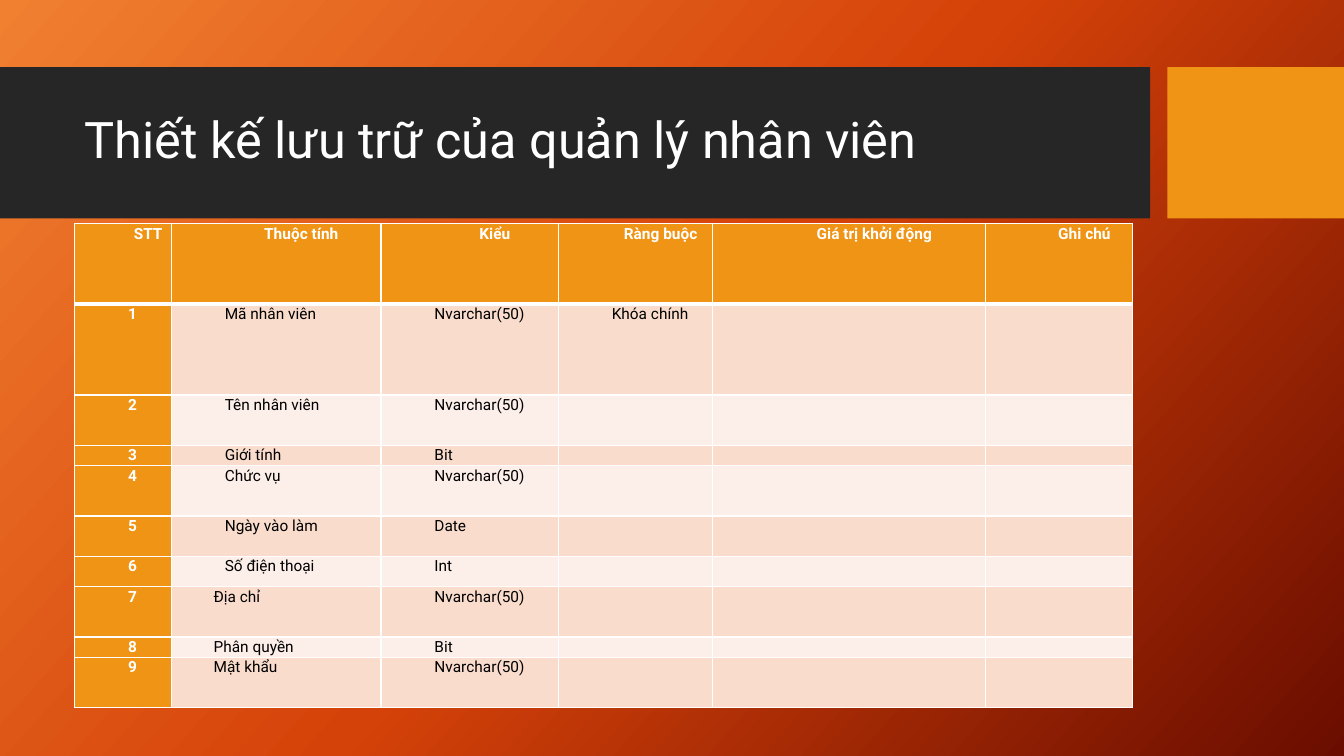
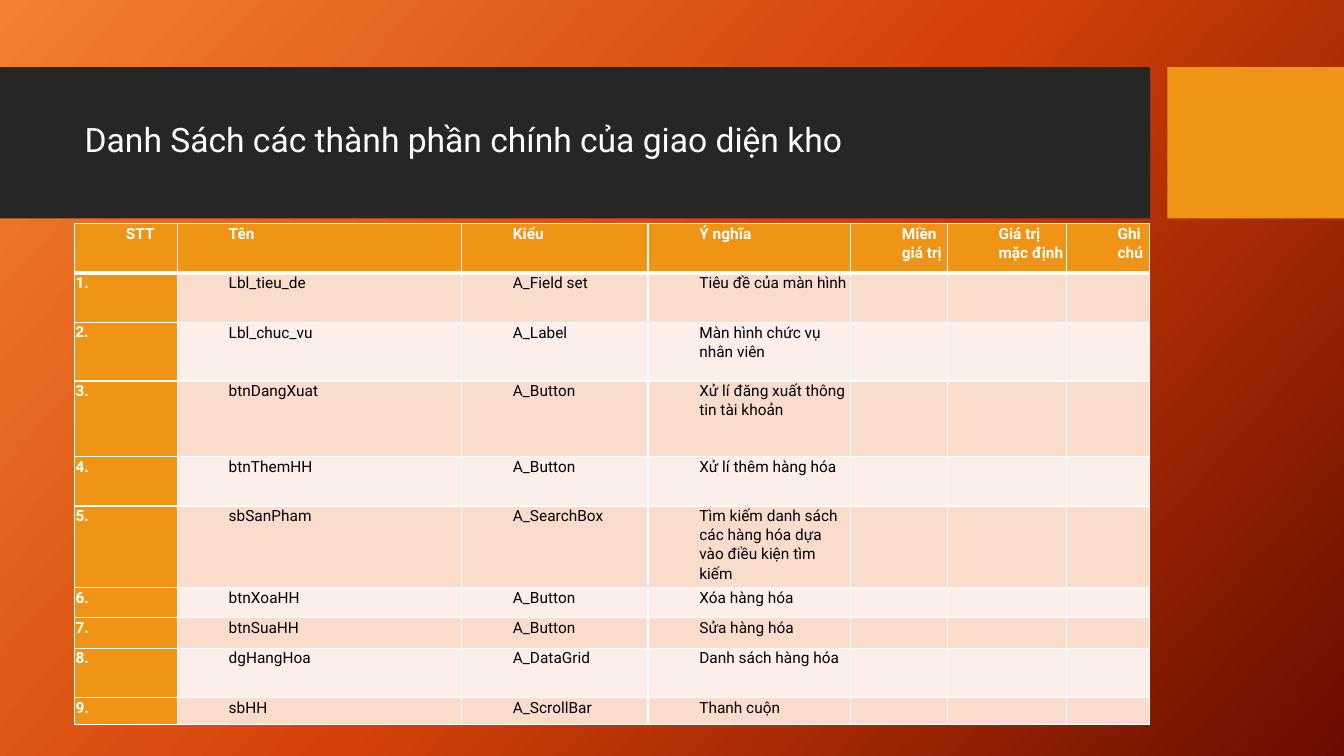
from dataclasses import dataclass, field

from pptx import Presentation
from pptx.dml.color import RGBColor
from pptx.enum.shapes import MSO_SHAPE
from pptx.enum.text import MSO_ANCHOR, MSO_AUTO_SIZE, PP_ALIGN
from pptx.oxml import parse_xml
from pptx.oxml.ns import nsdecls
from pptx.util import Pt

FONT = "Roboto"
WHITE, BLACK, DARK, ORANGE = "FFFFFF", "000000", "262626", "F09415"
STRIPES = ("FCEEE8", "F9DCCC")
GRADIENT = ((0, "F18031"), (50, "D54209"), (100, "6A0D00"))
LEFT, TABLE_TOP = 53.3, 159.8


@dataclass
class Band:
    left: float
    width: float
    color: str


@dataclass
class Grid:
    title: str
    title_size: float
    cols: list[float]
    rows: list[float]
    cells: list[list[str]]
    inset: float
    header_align: PP_ALIGN = PP_ALIGN.LEFT
    number_indent: float = 36
    overrides: dict[tuple[int, int], dict] = field(default_factory=dict)


BANDS = (Band(0, 821.5, DARK), Band(833.8, 126.2, ORANGE))

STAFF = Grid(
    title="Thiết kế lưu trữ của quản lý nhân viên",
    title_size=36,
    cols=[69.1, 149.8, 126.7, 110.2, 195.1, 105.1],
    rows=[57.6, 64.8, 36, 14.4, 36, 28.8, 21.6, 36, 14.4, 36],
    cells=[
        ["STT", "Thuộc tính", "Kiểu", "Ràng buộc", "Giá trị khởi động", "Ghi chú"],
        ["1", "Mã nhân viên", "Nvarchar(50)", "Khóa chính"],
        ["2", "Tên nhân viên", "Nvarchar(50)"],
        ["3", "Giới tính", "Bit"],
        ["4", "Chức vụ", "Nvarchar(50)"],
        ["5", "Ngày vào làm", "Date"],
        ["6", "Số điện thoại", "Int"],
        ["7", "Địa chỉ", "Nvarchar(50)"],
        ["8", "Phân quyền", "Bit"],
        ["9", "Mật khẩu", "Nvarchar(50)"],
    ],
    inset=2.2,
    header_align=PP_ALIGN.CENTER,
    overrides={(row, 1): {"indent": 28} for row in (7, 8, 9)},
)

WAREHOUSE = Grid(
    title="Danh Sách các thành phần chính của giao diện kho",
    title_size=24,
    cols=[73.4, 203, 133.2, 144.7, 69.1, 85, 59.8],
    rows=[35.3, 35.3, 41.8, 54, 35.3, 58.3, 21.6, 21.6, 35.3, 19.4],
    cells=[
        ["STT", "Tên", "Kiểu", "Ý nghĩa", "Miền giá trị", "Giá trị mặc định", "Ghi chú"],
        ["1.", "Lbl_tieu_de", "A_Field set", "Tiêu đề của màn hình"],
        ["2.", "Lbl_chuc_vu", "A_Label", "Màn hình chức vụ nhân viên"],
        ["3.", "btnDangXuat", "A_Button", "Xử lí đăng xuất thông tin tài khoản"],
        ["4.", "btnThemHH", "A_Button", "Xử lí thêm hàng hóa"],
        ["5.", "sbSanPham", "A_SearchBox",
         "Tìm kiếm danh sách các hàng hóa dựa vào điều kiện tìm kiếm"],
        ["6.", "btnXoaHH", "A_Button", "Xóa hàng hóa"],
        ["7.", "btnSuaHH", "A_Button", "Sửa hàng hóa"],
        ["8.", "dgHangHoa", "A_DataGrid", "Danh sách hàng hóa"],
        ["9.", "sbHH", "A_ScrollBar", "Thanh cuộn"],
    ],
    inset=0.72,
    number_indent=0,
    overrides={(2, 0): {"font": "Arial"}},
)


def rgb(color: str) -> RGBColor:
    return RGBColor.from_string(color)


def write(tf, text: str, *, size: float = 11, color: str = BLACK, bold: bool = False,
          font: str = FONT, align: PP_ALIGN = PP_ALIGN.LEFT, indent: float = 0,
          spacing: float = 1.07) -> None:
    p = tf.paragraphs[0]
    if not text:
        p._p.get_or_add_endParaRPr().set("sz", str(int(size * 100)))
        return
    p.alignment = align
    p.line_spacing = spacing
    p._p.get_or_add_pPr().set("marL", str(Pt(indent)))
    p._p.get_or_add_pPr().set("indent", "0")
    r = p.add_run()
    r.text = text
    r.font.name = font
    r.font.size = Pt(size)
    r.font.bold = bold
    r.font.color.rgb = rgb(color)


def style_layout(layout, s) -> None:
    stops = "".join(f'<a:gs pos="{pos * 1000}"><a:srgbClr val="{color}"/></a:gs>'
                    for pos, color in GRADIENT)
    layout._element.cSld.insert(0, parse_xml(
        f'<p:bg {nsdecls("p", "a")}><p:bgPr><a:gradFill rotWithShape="1">'
        f'<a:gsLst>{stops}</a:gsLst><a:lin ang="{42 * 60000}" scaled="0"/>'
        '</a:gradFill><a:effectLst/></p:bgPr></p:bg>'))
    for i, band in enumerate(BANDS):
        sp = s.shapes.add_shape(MSO_SHAPE.RECTANGLE, Pt(band.left), Pt(48),
                                Pt(band.width), Pt(108))
        sp.shadow.inherit = False
        sp.fill.solid()
        sp.fill.fore_color.rgb = rgb(band.color)
        sp.line.fill.background()
        layout.shapes._spTree.insert(2 + i, sp._element)


def add_title(s, text: str, size: float) -> None:
    sp = s.shapes.title
    sp.left, sp.top, sp.width, sp.height = Pt(LEFT), Pt(59), Pt(756.7), Pt(85)
    tf = sp.text_frame
    tf.word_wrap = True
    tf.auto_size = MSO_AUTO_SIZE.NONE
    tf.vertical_anchor = MSO_ANCHOR.MIDDLE
    write(tf, text, size=size, color=WHITE, spacing=0.9)


def set_borders(cell, top: float, bottom: float) -> None:
    tc_pr = cell._tc.get_or_add_tcPr()
    for side, width in (("L", 1), ("R", 1), ("T", top), ("B", bottom)):
        tc_pr.append(parse_xml(
            f'<a:ln{side} {nsdecls("a")} w="{Pt(width)}"><a:solidFill>'
            f'<a:srgbClr val="{WHITE}"/></a:solidFill></a:ln{side}>'))


def add_grid(s, grid: Grid) -> None:
    tbl = s.shapes.add_table(len(grid.rows), len(grid.cols), Pt(LEFT), Pt(TABLE_TOP),
                             Pt(sum(grid.cols)), Pt(sum(grid.rows))).table
    for col, width in zip(tbl.columns, grid.cols):
        col.width = Pt(width)
    for i, height in enumerate(grid.rows):
        tbl.rows[i].height = Pt(height)
        texts = grid.cells[i] + [""] * (len(grid.cols) - len(grid.cells[i]))
        for j, text in enumerate(texts):
            cell = tbl.cell(i, j)
            heading = i == 0 or j == 0
            cell.margin_left = cell.margin_right = Pt(grid.inset)
            cell.margin_top = cell.margin_bottom = Pt(0)
            set_borders(cell, top=3 if i == 1 else 1, bottom=3 if i == 0 else 1)
            cell.fill.solid()
            cell.fill.fore_color.rgb = rgb(ORANGE if heading else STRIPES[i % 2])
            style = {
                "color": WHITE if heading else BLACK,
                "bold": heading,
                "align": grid.header_align if i == 0 else PP_ALIGN.LEFT,
                "indent": grid.number_indent if i and j == 0 else 36,
            }
            write(cell.text_frame, text, **(style | grid.overrides.get((i, j), {})))


def main() -> None:
    prs = Presentation()
    prs.slide_width, prs.slide_height = Pt(960), Pt(540)
    layout = prs.slide_layouts[5]
    for i, grid in enumerate((STAFF, WAREHOUSE)):
        s = prs.slides.add_slide(layout)
        if i == 0:
            style_layout(layout, s)
        add_title(s, grid.title, grid.title_size)
        add_grid(s, grid)
    prs.save("out.pptx")


if __name__ == "__main__":
    main()
